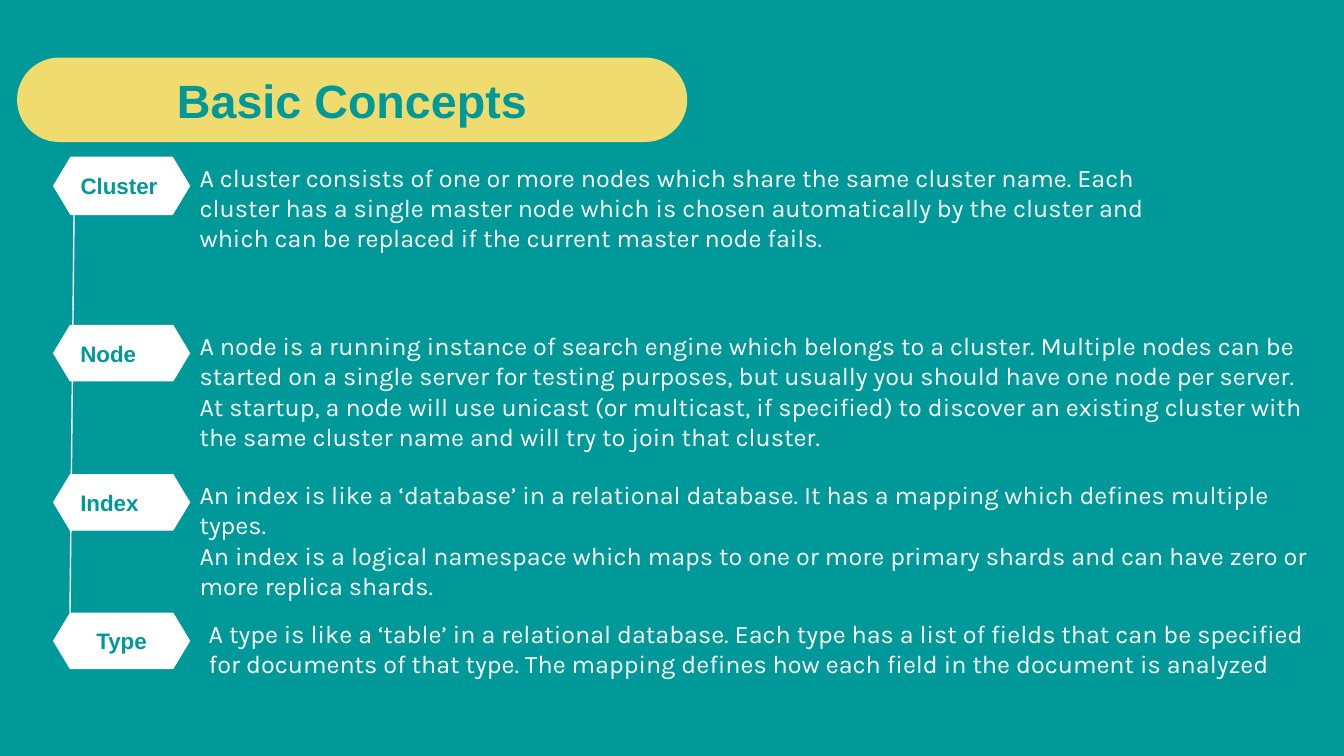
"""Build the Basic Concepts slide: a labelled timeline with four definitions."""
from dataclasses import dataclass

from lxml import etree
from pptx import Presentation
from pptx import util as u
from pptx.dml.color import RGBColor
from pptx.enum import shapes, text
from pptx.oxml import ns

TEAL = RGBColor(0x00, 0x99, 0x99)
YELLOW = RGBColor(0xF0, 0xDB, 0x6E)
WHITE = RGBColor(0xFF, 0xFF, 0xFF)

LABEL_LEFT, LABEL_WIDTH = 1.35, 3.43
TEXT_RIGHT = 33.38
LABEL_FONT = {"name": "Arial", "size": u.Pt(16), "bold": True}
TITLE_FONT = {"name": "Arial", "size": u.Pt(33.3), "bold": True}
BODY_FONT = {"name": "Karla", "size": u.Pt(18), "bold": False}
LEFT, CENTER = text.PP_ALIGN.LEFT, text.PP_ALIGN.CENTER


@dataclass(frozen=True)
class Concept:
    label: str
    lines: tuple[str, ...]
    top: float
    text_height: float
    label_height: float = 1.4
    text_left: float = 4.78
    text_right: float = TEXT_RIGHT
    align: text.PP_ALIGN = LEFT


CONCEPTS = (
    Concept("Cluster", (
        "A cluster consists of one or more nodes which share the same cluster name. "
        "Each cluster has a single master node which is chosen automatically by the "
        "cluster and which can be replaced if the current master node fails.",
    ), 3.96, 2.57, label_height=1.45, text_right=29.29),
    Concept("Node", (
        "A node is a running instance of search engine which belongs to a cluster. "
        "Multiple nodes can be started on a single server for testing purposes, but "
        "usually you should have one node per server.",
        "At startup, a node will use unicast (or multicast, if specified) to discover "
        "an existing cluster with the same cluster name and will try to join that cluster.",
    ), 8.2, 3.33),
    Concept("Index", (
        "An index is like a ‘database’ in a relational database. It has a mapping "
        "which defines multiple types.",
        "An index is a logical namespace which maps to one or more primary shards "
        "and can have zero or more replica shards.",
    ), 11.96, 2.57),
    Concept("Type", (
        "A type is like a ‘table’ in a relational database. Each type has a list of "
        "fields that can be specified for documents of that type. The mapping defines "
        "how each field in the document is analyzed",
    ), 15.45, 1.8, text_left=5.01, align=CENTER),
)


def set_attributes(target: object, values: dict) -> None:
    for name, value in values.items():
        setattr(target, name, value)


def write_text(shape, lines: tuple[str, ...], font: dict, color: RGBColor,
               align: text.PP_ALIGN, frame_format: dict) -> None:
    frame = shape.text_frame
    set_attributes(frame, {"word_wrap": True, **frame_format})
    paragraph = frame.paragraphs[0]
    paragraph.alignment = align
    for index, line in enumerate(lines):
        if index:
            paragraph.add_line_break()
        run = paragraph.add_run()
        run.text = line
        set_attributes(run.font, font)
        run.font.color.rgb = color


def add_filled_shape(slide, kind: shapes.MSO_SHAPE, box: tuple[float, ...],
                     fill: RGBColor, adjustment: float):
    shape = slide.shapes.add_shape(kind, *map(u.Cm, box))
    shape.adjustments[0] = adjustment
    shape.shadow.inherit = False
    shape.fill.solid()
    shape.fill.fore_color.rgb = fill
    shape.line.fill.background()
    return shape


def add_title(slide) -> None:
    shape = add_filled_shape(slide, shapes.MSO_SHAPE.ROUNDED_RECTANGLE,
                             (0.43, 1.45, 16.89, 2.13), YELLOW, 0.5)
    margins = {f"margin_{side}": 0 for side in ("left", "top", "right", "bottom")}
    write_text(shape, ("Basic Concepts",), TITLE_FONT, TEAL, CENTER,
               {"vertical_anchor": text.MSO_ANCHOR.MIDDLE, **margins})


def add_timeline(slide) -> None:
    ends = map(u.Cm, (1.88, 3.96, 1.75, 16.81))
    connector = slide.shapes.add_connector(shapes.MSO_CONNECTOR.STRAIGHT, *ends)
    connector.line.color.rgb = WHITE
    connector.line.width = u.Pt(1)
    etree.SubElement(connector._element.spPr, ns.qn("a:effectLst"))


def add_concept(slide, concept: Concept) -> None:
    label = add_filled_shape(
        slide, shapes.MSO_SHAPE.HEXAGON,
        (LABEL_LEFT, concept.top, LABEL_WIDTH, concept.label_height), WHITE, 0.3)
    label.line.color.rgb = WHITE
    label.line.width = u.Pt(0.75)
    write_text(label, (concept.label,), LABEL_FONT, TEAL, concept.align,
               {"vertical_anchor": text.MSO_ANCHOR.MIDDLE})
    width = concept.text_right - concept.text_left
    box = (concept.text_left, concept.top, width, concept.text_height)
    description = slide.shapes.add_textbox(*map(u.Cm, box))
    write_text(description, concept.lines, BODY_FONT, WHITE, LEFT,
               {"auto_size": text.MSO_AUTO_SIZE.SHAPE_TO_FIT_TEXT})


def main() -> None:
    presentation = Presentation()
    set_attributes(presentation, {"slide_width": u.Cm(33.87), "slide_height": u.Cm(19.05)})
    slide = presentation.slides.add_slide(presentation.slide_layouts[6])
    slide.background.fill.solid()
    slide.background.fill.fore_color.rgb = TEAL
    add_timeline(slide)
    add_title(slide)
    for concept in CONCEPTS:
        add_concept(slide, concept)
    presentation.save("out.pptx")


if __name__ == "__main__":
    main()
